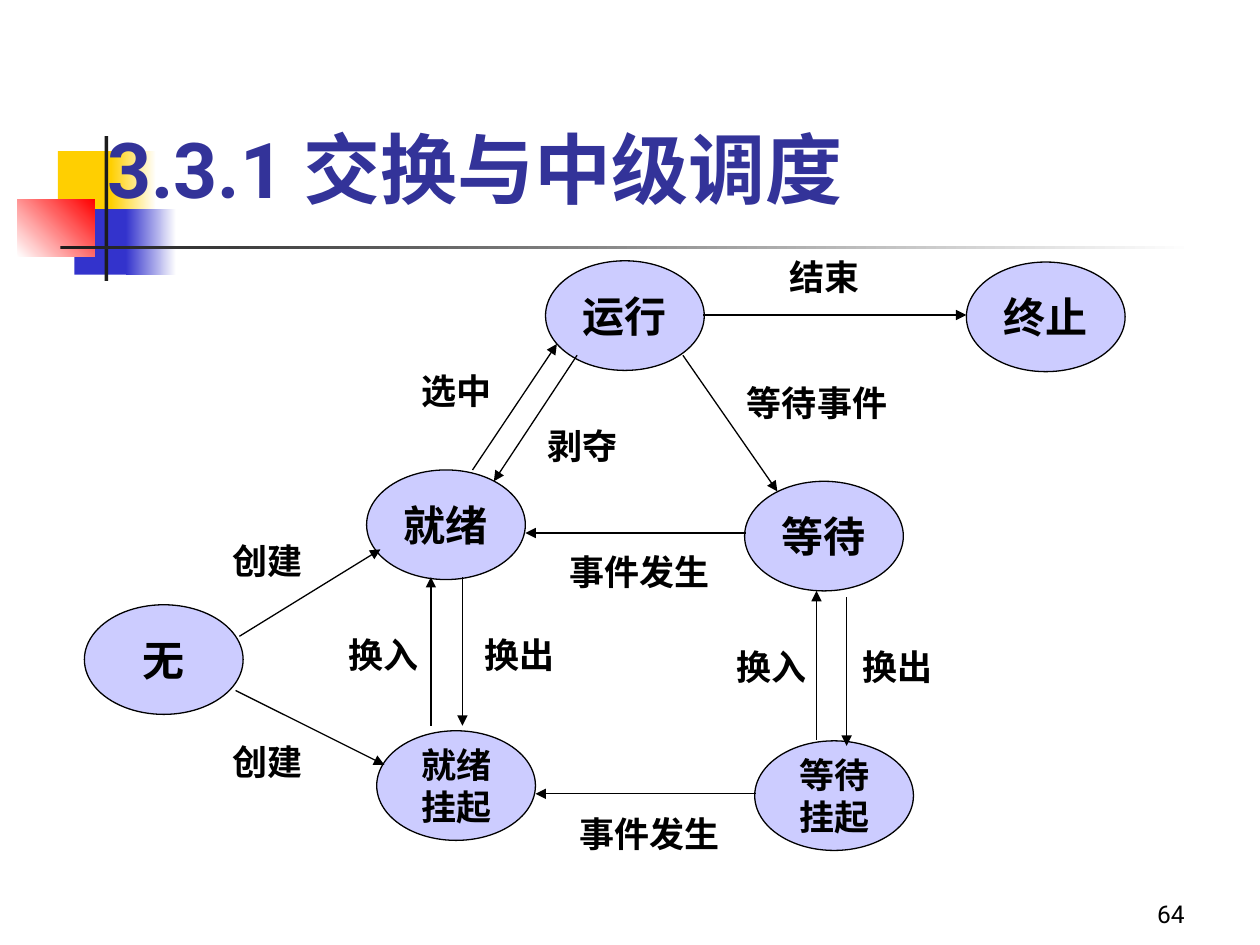
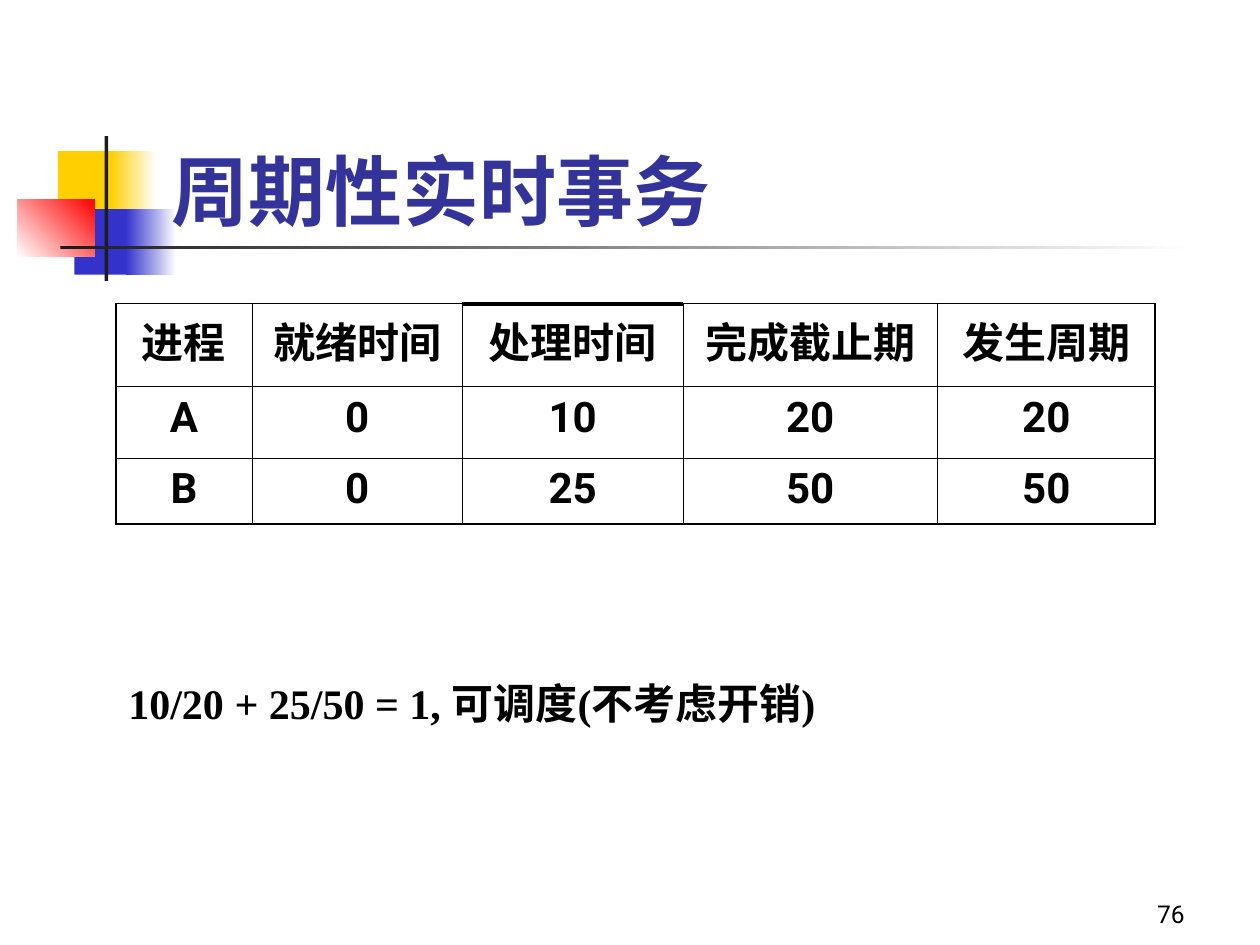
"""Build two slides: a process state diagram and a periodic real-time task table."""
from dataclasses import dataclass

from lxml import etree
from pptx import Presentation
from pptx.dml.color import RGBColor
from pptx.enum.shapes import MSO_CONNECTOR, MSO_SHAPE
from pptx.enum.text import MSO_ANCHOR, MSO_AUTO_SIZE, PP_ALIGN
from pptx.oxml.ns import qn
from pptx.util import Inches, Pt

RECTANGLE, OVAL = MSO_SHAPE.RECTANGLE, MSO_SHAPE.OVAL
STRAIGHT = MSO_CONNECTOR.STRAIGHT
LEFT, CENTER, RIGHT = PP_ALIGN.LEFT, PP_ALIGN.CENTER, PP_ALIGN.RIGHT
TOP, MIDDLE, BOTTOM = MSO_ANCHOR.TOP, MSO_ANCHOR.MIDDLE, MSO_ANCHOR.BOTTOM
NO_AUTOFIT = MSO_AUTO_SIZE.NONE


@dataclass(frozen=True)
class Theme:
    """Colours, fonts, type sizes and line widths."""
    ink: str = "000000"
    title: str = "333399"
    state: str = "CCCCFF"
    yellow: str = "FFCF01"
    blue: str = "3333CC"
    red: str = "FF0000"
    dark: str = "1C1C1C"
    white: str = "FFFFFF"
    sans: str = "Roboto"
    serif: str = "Times New Roman"
    title_size: int = 44
    large: int = 24
    label: int = 20
    number: int = 14
    thin: float = 0.45
    line: float = 0.75
    frame: float = 1.08
    heavy: float = 2.25


THEME = Theme()

TITLE_STYLE = {"name": THEME.sans, "size": Pt(THEME.title_size), "bold": True}
LARGE_STYLE = {"name": THEME.serif, "size": Pt(THEME.large), "bold": True}
LABEL_STYLE = {"name": THEME.serif, "size": Pt(THEME.label), "bold": True}
CELL_STYLE = {"name": THEME.sans, "size": Pt(THEME.large), "bold": True}
NUMBER_STYLE = {"name": THEME.sans, "size": Pt(THEME.number), "bold": False}

ORNAMENTS = [
    ((0.46, 1.2, 0.48, 0.52), [THEME.yellow], 0),
    ((0.88, 1.2, 0.36, 0.52), [THEME.yellow, THEME.white], 0),
    ((0.59, 1.66, 0.46, 0.52), [THEME.blue], 0),
    ((1, 1.66, 0.4, 0.52), [THEME.blue, THEME.white], 0),
    ((0.14, 1.58, 0.61, 0.46), [THEME.white, THEME.red], 45),
    ((0.83, 1.08, 0.03, 1.15), [THEME.dark], 0),
    ((0.48, 1.95, 9, 0.03), [THEME.dark, THEME.white], 0),
]
NUMBER_FRAME = (7.42, 6.92, 2.08, 0.5)

DIAGRAM = {"title": "3.3.1 交换与中级调度", "frame": (0.75, 0.5, 8.5, 1.25), "number": "64"}
STATE_SIZE = (1.26, 0.87)
STATES = [
    (2.91, 3.73, ["就绪"]),
    (5.91, 3.82, ["等待"]),
    (4.33, 2.07, ["运行"]),
    (2.99, 5.8, ["就绪", "挂起"]),
    (5.99, 5.88, ["等待", "挂起"]),
    (0.67, 4.8, ["无"]),
    (7.67, 2.08, ["终止"]),
]
ARROWS = [
    ((4.58, 2.82), (3.92, 3.82)),
    ((5.42, 2.82), (6.17, 3.9)),
    ((5.92, 4.23), (4.17, 4.23)),
    ((3.75, 3.73), (4.42, 2.73)),
    ((6, 6.3), (4.25, 6.3)),
    ((1.9, 5.05), (3.02, 4.36)),
    ((1.87, 5.48), (3.05, 6.07)),
    ((5.58, 2.5), (7.67, 2.5)),
    ((3.67, 4.58), (3.67, 5.76)),
    ((3.42, 5.76), (3.42, 4.58)),
    ((6.72, 4.74), (6.72, 5.92)),
    ((6.48, 5.87), (6.48, 4.69)),
]
LABEL_HEIGHT = 0.44
LABEL_WIDTHS = {2: 0.83, 4: 1.33}
LABELS = [
    (4.25, 3.32, "剥夺"),
    (3.25, 2.88, "选中"),
    (5.83, 2.98, "等待事件"),
    (4.42, 4.32, "事件发生"),
    (1.75, 4.23, "创建"),
    (1.75, 5.83, "创建"),
    (6.17, 1.98, "结束"),
    (3.75, 4.98, "换出"),
    (6.75, 5.07, "换出"),
    (2.67, 4.98, "换入"),
    (5.75, 5.07, "换入"),
    (4.5, 6.4, "事件发生"),
]

TASKS = {"title": "周期性实时事务", "frame": (1.26, 0.67, 8.52, 1.25), "number": "76"}
TABLE_FRAME = (0.92, 2.41, 8.25, 1.75)
COLUMN_WIDTHS = [1.08, 1.67, 1.75, 2.02, 1.73]
ROW_HEIGHTS = [0.66, 0.57, 0.52]
TASK_ROWS = [
    ["进程", "就绪时间", "处理时间", "完成截止期", "发生周期"],
    ["A", "0", "10", "20", "20"],
    ["B", "0", "25", "50", "50"],
]
MARKED_COLUMN = 2
CONCLUSION = ((0.92, 5.33, 6.25, 0.5), "10/20 + 25/50 = 1, 可调度(不考虑开销)")


def colour(code):
    return RGBColor.from_string(code)


def lengths(values):
    return [Inches(value) for value in values]


def write(frame, lines, style, ink=THEME.ink, align=LEFT, anchor=TOP, wrap=True):
    frame.word_wrap = wrap
    frame.vertical_anchor = anchor
    for index, line in enumerate(lines):
        para = frame.add_paragraph() if index else frame.paragraphs[0]
        para.alignment = align
        span = para.add_run()
        span.text = line
        for name, value in style.items():
            setattr(span.font, name, value)
        span.font.color.rgb = colour(ink)


def add_text(page, frame, line, style, **layout):
    box = page.shapes.add_textbox(*lengths(frame))
    write(box.text_frame, [line], style, **layout)


def add_line(page, start, end, width, arrow=False):
    line = page.shapes.add_connector(STRAIGHT, *lengths(start + end))
    line.line.color.rgb = colour(THEME.ink)
    line.line.width = Pt(width)
    properties = line.element.spPr
    if arrow:
        etree.SubElement(properties.find(qn("a:ln")), qn("a:tailEnd"), type="triangle")
    etree.SubElement(properties, qn("a:effectLst"))


def add_ornaments(layout, page):
    """Draw the shared ornaments on a page and move them to its layout."""
    for holder in list(layout.placeholders):
        if holder.placeholder_format.idx:
            layout.shapes.element.remove(holder.element)
    ornaments = []
    for frame, colours, angle in ORNAMENTS:
        shape = page.shapes.add_shape(RECTANGLE, *lengths(frame))
        shape.shadow.inherit = False
        shape.line.fill.background()
        if len(colours) == 1:
            shape.fill.solid()
            shape.fill.fore_color.rgb = colour(colours[0])
        else:
            shape.fill.gradient()
            shape.fill.gradient_angle = angle
            for stop, code in zip(shape.fill.gradient_stops, colours):
                stop.color.rgb = colour(code)
        ornaments.append(shape.element)
    for element in ornaments:
        layout.shapes.element.append(element)


def set_heading(page, content):
    title = page.shapes.title
    title.left, title.top, title.width, title.height = lengths(content["frame"])
    title.text_frame.auto_size = NO_AUTOFIT
    write(title.text_frame, [content["title"]], TITLE_STYLE, THEME.title, anchor=BOTTOM)
    add_text(page, NUMBER_FRAME, content["number"], NUMBER_STYLE, align=RIGHT, anchor=BOTTOM)


def fill_diagram(page):
    for left, top, lines in STATES:
        state = page.shapes.add_shape(OVAL, *lengths((left, top) + STATE_SIZE))
        state.shadow.inherit = False
        state.fill.solid()
        state.fill.fore_color.rgb = colour(THEME.state)
        state.line.color.rgb = colour(THEME.ink)
        state.line.width = Pt(THEME.line)
        style = LARGE_STYLE if len(lines) == 1 else LABEL_STYLE
        write(state.text_frame, lines, style, align=CENTER, anchor=MIDDLE, wrap=False)
    for start, end in ARROWS:
        add_line(page, start, end, THEME.line, arrow=True)
    for left, top, text in LABELS:
        add_text(page, (left, top, LABEL_WIDTHS[len(text)], LABEL_HEIGHT), text, LABEL_STYLE)


def set_borders(cell, outer_sides):
    properties = cell._tc.get_or_add_tcPr()
    for side, outer in outer_sides.items():
        width = Pt(THEME.frame if outer else THEME.thin)
        border = etree.SubElement(properties, qn(f"a:ln{side}"), w=str(int(width)))
        fill = etree.SubElement(border, qn("a:solidFill"))
        etree.SubElement(fill, qn("a:srgbClr"), val=THEME.ink)


def fill_tasks(page):
    last_row, last_column = len(ROW_HEIGHTS) - 1, len(COLUMN_WIDTHS) - 1
    table = page.shapes.add_table(last_row + 1, last_column + 1, *lengths(TABLE_FRAME)).table
    table.first_row = table.horz_banding = False
    for column, width in zip(table.columns, COLUMN_WIDTHS):
        column.width = Inches(width)
    for row, height in zip(table.rows, ROW_HEIGHTS):
        row.height = Inches(height)
    for r, values in enumerate(TASK_ROWS):
        for c, value in enumerate(values):
            cell = table.cell(r, c)
            write(cell.text_frame, [value], CELL_STYLE, align=CENTER)
            set_borders(cell, {"L": c == 0, "R": c == last_column,
                               "T": r == 0, "B": r == last_row})
            cell.fill.background()
    left, top = TABLE_FRAME[:2]
    start = left + sum(COLUMN_WIDTHS[:MARKED_COLUMN])
    end = start + COLUMN_WIDTHS[MARKED_COLUMN]
    add_line(page, (start, top), (end, top), THEME.heavy)
    add_text(page, *CONCLUSION, LARGE_STYLE)


def main():
    deck = Presentation()
    deck.slide_width, deck.slide_height = lengths((10, 7.5))
    layout = deck.slide_layouts.get_by_name("Title Only")
    pages = [deck.slides.add_slide(layout) for _ in range(2)]
    add_ornaments(layout, pages[0])
    for page, content, fill_page in zip(pages, (DIAGRAM, TASKS), (fill_diagram, fill_tasks)):
        set_heading(page, content)
        fill_page(page)
    deck.save("out.pptx")


if __name__ == "__main__":
    main()
